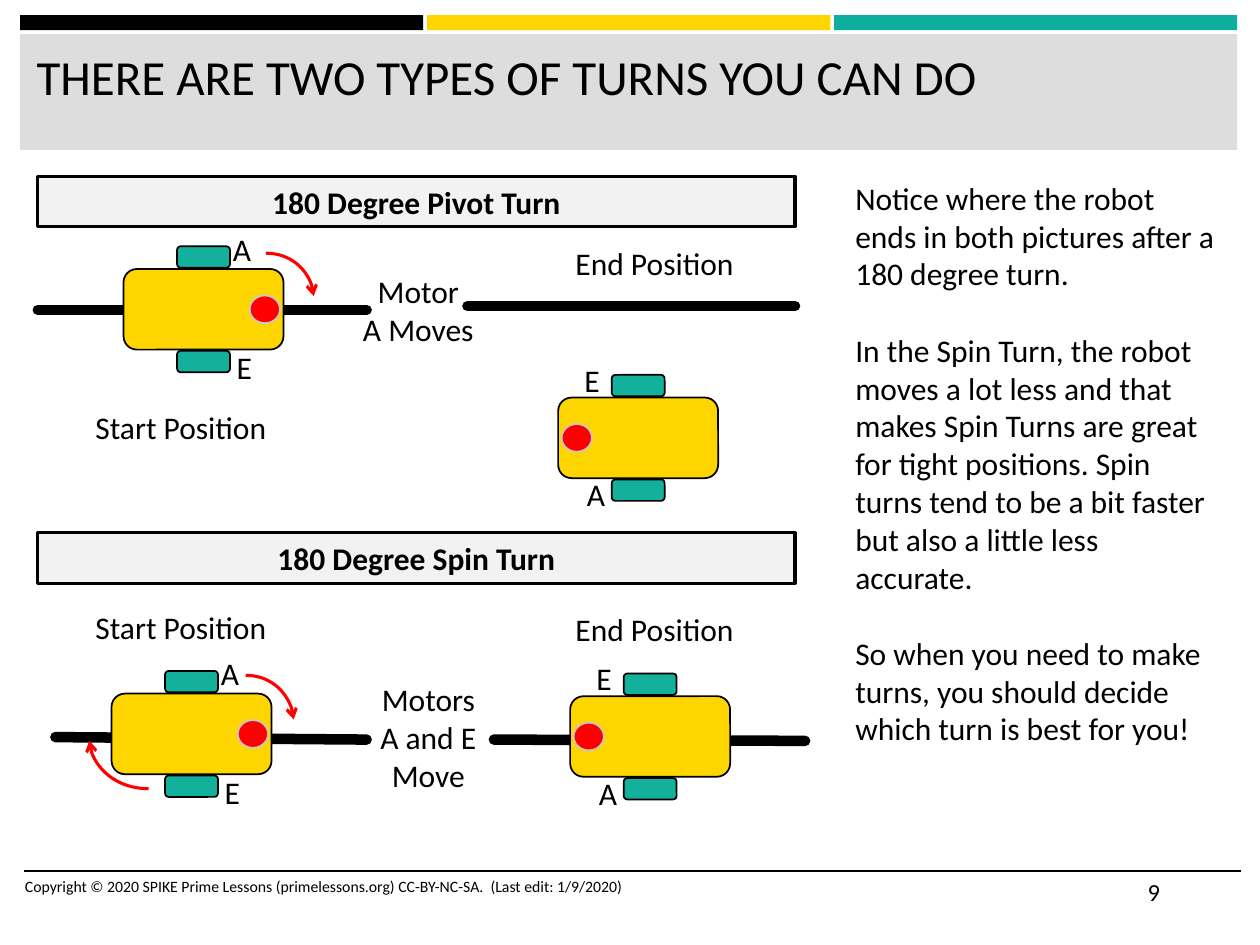
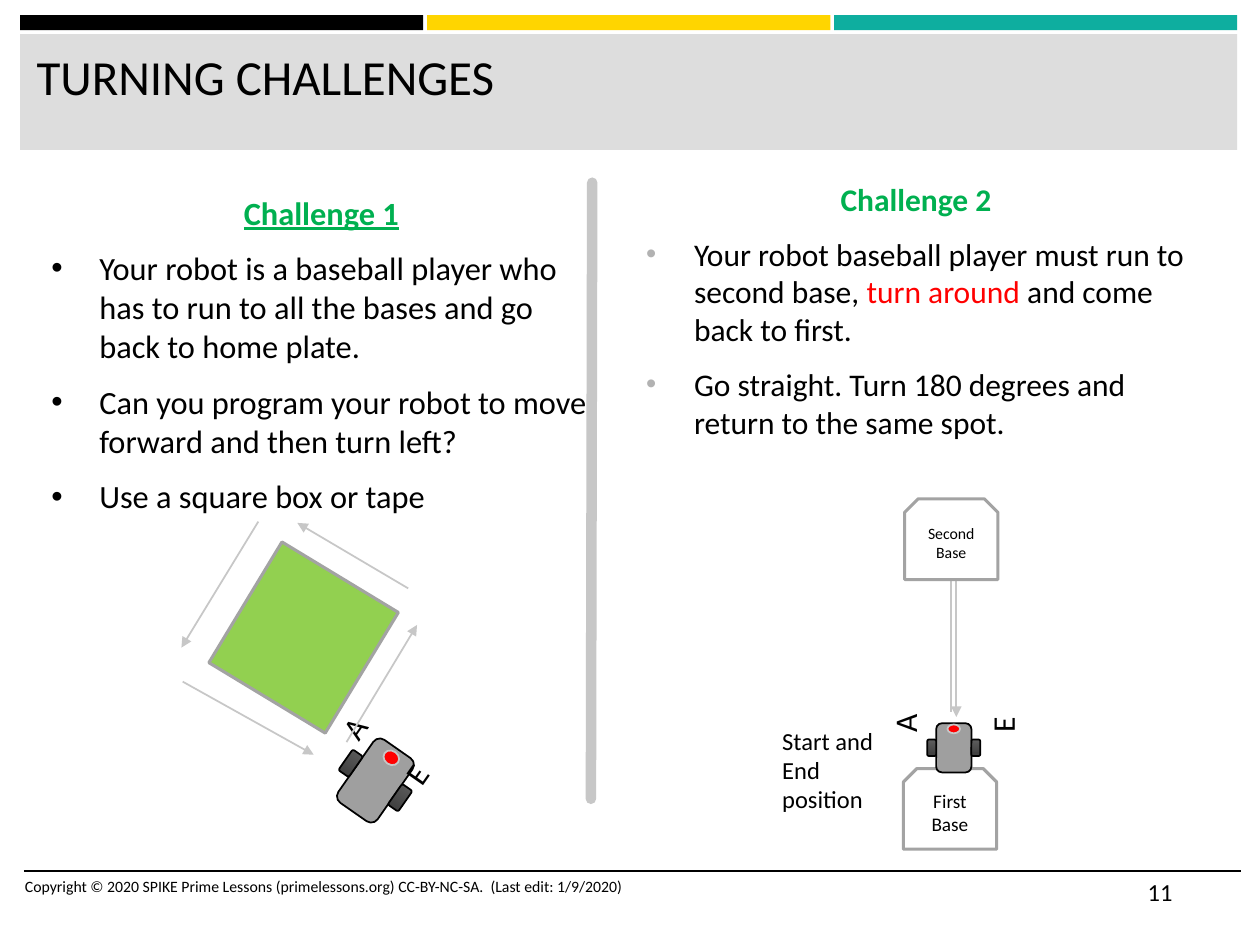
"""Builds two robot lesson slides: the types of turns and the turning challenges."""
from dataclasses import dataclass, field
from math import cos, radians, sin
from typing import Any, NamedTuple, Optional

from pptx import Presentation
from pptx.dml.color import RGBColor
from pptx.enum.shapes import MSO_CONNECTOR as Route, MSO_SHAPE as Preset
from pptx.enum.text import MSO_ANCHOR as Anchor, PP_ALIGN as Align
from pptx.oxml.ns import qn
from pptx.oxml.xmlchemy import OxmlElement
from pptx.util import Emu, Inches, Pt

BLACK = RGBColor(0x00, 0x00, 0x00)
WHITE = RGBColor(0xFF, 0xFF, 0xFF)
YELLOW = RGBColor(0xFF, 0xD5, 0x00)
TEAL = RGBColor(0x0E, 0xAE, 0x9F)
WHEEL_TEAL = RGBColor(0x13, 0xB0, 0x9B)
RED = RGBColor(0xFF, 0x00, 0x00)
GREEN = RGBColor(0x00, 0xB0, 0x50)
FIELD_GREEN = RGBColor(0x92, 0xD0, 0x50)
TITLE_GREY = RGBColor(0xDD, 0xDD, 0xDD)
PALE_GREY = RGBColor(0xF2, 0xF2, 0xF2)
LINE_GREY = RGBColor(0xC7, 0xC7, 0xC7)
BULLET_GREY = RGBColor(0xB2, 0xB2, 0xB2)
EDGE_GREY = RGBColor(0xA3, 0xA3, 0xA3)
BODY_GREY = RGBColor(0x9F, 0x9F, 0x9F)
TYRE_GREY = RGBColor(0x5F, 0x5F, 0x5F)
TYRE_DARK = RGBColor(0x41, 0x41, 0x41)

FONT = "Calibri"
WIDTH, HEIGHT = Inches(10), Inches(7.5)
COLUMNS, ROWS = 100, 75
COPYRIGHT = ("Copyright © 2020 SPIKE Prime Lessons (primelessons.org) "
             "CC-BY-NC-SA.  (Last edit: 1/9/2020)")


class Point(NamedTuple):
    """A place on the grid, in columns and rows."""
    column: float
    row: float


class Box(NamedTuple):
    """A rectangle on the grid, in columns and rows."""
    left: float
    top: float
    width: float
    height: float


class Size(NamedTuple):
    """A width and height on the grid."""
    width: float
    height: float

    def around(self, centre: Point) -> Box:
        """Return the box of this size with the given centre."""
        return Box(centre.column - self.width / 2, centre.row - self.height / 2, *self)


@dataclass(frozen=True)
class Run:
    """Text with one format."""
    text: str
    color: RGBColor = BLACK
    formats: dict[str, Any] = field(default_factory=dict)


@dataclass(frozen=True)
class Para:
    """A paragraph with its layout and optional bullet."""
    runs: tuple[Run, ...]
    formats: dict[str, Any] = field(default_factory=dict)
    bullet: Optional[RGBColor] = None
    bullet_percent: int = 100


@dataclass(frozen=True)
class Build:
    """Part sizes and colours of a robot that faces up."""
    body: Size
    wheel: Size
    wheel_reach: float
    nose: Size
    nose_reach: float
    body_color: RGBColor
    wheel_colors: tuple[RGBColor, ...]
    label: Size


@dataclass(frozen=True)
class Pose:
    """Heading of a robot and where its motor labels sit around it."""
    heading: float
    motor_a: Point
    motor_e: Point
    label_turn: float = 0


LESSON = Build(Size(6.4, 12.7), Size(1.7, 4.2), 4.15, Size(2.2, 2.4), 4.87,
               YELLOW, (WHEEL_TEAL,), Size(5.1, 4))
RUNNER = Build(Size(3.8, 6.1), Size(1, 2), 2.39, Size(1.3, 1.1), 2.2,
               BODY_GREY, (TYRE_GREY, TYRE_DARK), Size(3.5, 4))
SMALL_RUNNER = Build(Size(2.8, 3.9), Size(0.7, 1.3), 1.75, Size(1, 0.7), 1.5,
                     BODY_GREY, (TYRE_GREY, TYRE_DARK), Size(3.5, 4))
FACING_RIGHT = Pose(90, Point(3.9, -4.8), Point(4.2, 4.6))
FACING_LEFT = Pose(270, Point(-2.5, 4.45), Point(-2.7, -4.6))
FACING_DIAMOND = Pose(34.9, Point(-1.7, -4.25), Point(3.3, -0.65), 304.9)
FACING_UP = Pose(0, Point(-3.9, -1.95), Point(3.85, -1.95), 270)


def across(columns: float) -> Emu:
    """Turn columns into a length."""
    return Emu(round(columns * WIDTH / COLUMNS))


def down(rows: float) -> Emu:
    """Turn rows into a length."""
    return Emu(round(rows * HEIGHT / ROWS))


def place(box: Box) -> tuple[Emu, Emu, Emu, Emu]:
    """Turn a grid box into lengths."""
    return across(box.left), down(box.top), across(box.width), down(box.height)


def apply(target: Any, formats: dict[str, Any]) -> None:
    """Set each format value on the target."""
    for name, value in formats.items():
        setattr(target, name, value)


def plain(text: str, **formats: Any) -> Para:
    """Return a paragraph of one black run."""
    return Para((Run(text),), formats)


def add_bullet(paragraph: Any, color: RGBColor, percent: int) -> None:
    """Give the paragraph a hanging round bullet."""
    props = paragraph._p.get_or_add_pPr()
    props.set("marL", str(Inches(0.38)))
    props.set("indent", str(-Inches(0.38)))
    tint = OxmlElement("a:buClr")
    value = OxmlElement("a:srgbClr")
    value.set("val", str(color))
    tint.append(value)
    props.append(tint)
    for tag, key, setting in (("a:buSzPct", "val", str(percent * 1000)),
                              ("a:buFont", "typeface", "Arial"),
                              ("a:buChar", "char", "•")):
        part = OxmlElement(tag)
        part.set(key, setting)
        props.append(part)


def write(frame: Any, paras: list[Para], size: float, anchor: Any = Anchor.TOP) -> None:
    """Fill a text frame with paragraphs."""
    apply(frame, {"word_wrap": True, "vertical_anchor": anchor})
    for index, para in enumerate(paras):
        paragraph = frame.add_paragraph() if index else frame.paragraphs[0]
        apply(paragraph, {"alignment": Align.LEFT, **para.formats})
        if index and para.bullet is not None:
            paragraph.space_before = Pt(3.6)
        if para.bullet is not None:
            add_bullet(paragraph, para.bullet, para.bullet_percent)
        for piece in para.runs:
            run = paragraph.add_run()
            run.text = piece.text
            apply(run.font, {"name": FONT, "size": Pt(size), **piece.formats})
            run.font.color.rgb = piece.color


def add_text(slide: Any, box: Box, paras: list[Para], size: float = 18,
             turn: float = 0) -> None:
    """Add a text box."""
    text = slide.shapes.add_textbox(*place(box))
    text.rotation = turn
    write(text.text_frame, paras, size)


def add_block(slide: Any, preset: Any, box: Box, fills: tuple[RGBColor, ...],
              edge: Optional[RGBColor] = None, weight: float = 1, turn: float = 0) -> Any:
    """Add a preset shape with a solid fill, or a downward gradient of two colours."""
    block = slide.shapes.add_shape(preset, *place(box))
    block.shadow.inherit = False
    block.rotation = turn
    if len(fills) == 1:
        block.fill.solid()
        block.fill.fore_color.rgb = fills[0]
    else:
        block.fill.gradient()
        block.fill.gradient_angle = 270
        for stop, color, position in zip(block.fill.gradient_stops, fills, (0, 0.84)):
            stop.color.rgb = color
            stop.position = position
    if edge is None:
        block.line.fill.background()
    else:
        block.line.color.rgb = edge
        block.line.width = Pt(weight)
    return block


def add_line(slide: Any, start: Point, end: Point, color: RGBColor, weight: float = 1,
             head: str = "", curved: bool = False) -> None:
    """Add a straight line or quarter curve, with an arrowhead at its end if named."""
    line = slide.shapes.add_connector(
        Route.CURVE if curved else Route.STRAIGHT, across(start.column), down(start.row),
        across(end.column), down(end.row))
    line.line.color.rgb = color
    line.line.width = Pt(weight)
    props = line._element.spPr
    stroke = props.find(qn("a:ln"))
    if weight > 5:
        stroke.set("cap", "rnd")
    if head:
        tip = OxmlElement("a:tailEnd")
        tip.set("type", head)
        stroke.append(tip)
    if curved:
        props.find(qn("a:prstGeom")).set("prst", "curvedConnector2")
    props.append(OxmlElement("a:effectLst"))


def add_robot(slide: Any, centre: Point, build: Build, pose: Pose) -> None:
    """Add a robot with two wheels, a red nose and motor labels."""
    angle = radians(pose.heading)

    def turned(right: float, ahead: float) -> Point:
        return Point(centre.column + right * cos(angle) + ahead * sin(angle),
                     centre.row + right * sin(angle) - ahead * cos(angle))

    rounded = Preset.ROUNDED_RECTANGLE
    add_block(slide, rounded, build.body.around(centre), (build.body_color,), BLACK,
              turn=pose.heading)
    for side in (-1, 1):
        add_block(slide, rounded, build.wheel.around(turned(side * build.wheel_reach, 0)),
                  build.wheel_colors, BLACK, turn=pose.heading)
    add_block(slide, Preset.OVAL, build.nose.around(turned(0, build.nose_reach)), (RED,),
              LINE_GREY, turn=pose.heading)
    for motor, shift in (("A", pose.motor_a), ("E", pose.motor_e)):
        spot = Point(centre.column + shift.column, centre.row + shift.row)
        add_text(slide, build.label.around(spot), [plain(motor)], turn=pose.label_turn)


def start_slide(deck: Any, heading: str, number: int) -> Any:
    """Add a slide with the shared bands, title and footer."""
    slide = deck.slides.add_slide(deck.slide_layouts[5])
    for index, color in enumerate((BLACK, YELLOW, TEAL)):
        add_block(slide, Preset.RECTANGLE, Box(1.6 + 32.3 * index, 1.2, 32, 1.2), (color,))
    add_block(slide, Preset.RECTANGLE, Box(1.6, 2.7, 96.6, 9.2), (TITLE_GREY,))
    add_line(slide, Point(1.9, 69.1), Point(98.5, 69.1), BLACK)
    title = slide.shapes.title
    slide.shapes._spTree.append(title._element)
    apply(title, dict(zip(("left", "top", "width", "height"),
                          place(Box(1.9, 3.2, 95.7, 8.2)))))
    write(title.text_frame, [plain(heading)], 28)
    add_text(slide, Box(1, 69.1, 53.3, 4), [plain(COPYRIGHT)], 9)
    add_text(slide, Box(90.1, 69.1, 8.4, 4), [plain(str(number))], 14)
    return slide


def add_turns(deck: Any) -> None:
    """Add the slide that compares pivot and spin turns."""
    slide = start_slide(deck, "THERE ARE TWO TYPES OF TURNS YOU CAN DO", 9)
    for start, end in ((Point(39.2, 58.7), Point(63.9, 58.8)),
                       (Point(4.4, 58.5), Point(29.1, 58.7)),
                       (Point(3, 24.6), Point(29.1, 24.6)),
                       (Point(37.1, 24.3), Point(63.1, 24.3))):
        add_line(slide, start, end, BLACK, 6)
    for top, turn_name in ((14, "180 Degree Pivot Turn"), (42.3, "180 Degree Spin Turn")):
        banner = add_block(slide, Preset.RECTANGLE, Box(3, top, 60.1, 4), (PALE_GREY,),
                           BLACK, 1.75)
        name = Run(turn_name, formats={"bold": True})
        write(banner.text_frame, [Para((name,), {"alignment": Align.CENTER})], 18,
              Anchor.MIDDLE)
    add_text(slide, Box(66.9, 13.7, 30.7, 49.5), [
        plain("Notice where the robot ends in both pictures after a 180 degree turn.",
              space_after=Pt(22)),
        plain("In the Spin Turn, the robot moves a lot less and that makes Spin Turns are "
              "great for tight positions. Spin turns tend to be a bit faster but also a "
              "little less accurate.", space_after=Pt(22)),
        plain("So when you need to make turns, you should decide which turn is best for you!")])
    for box, lines in ((Box(5, 31.9, 18.7, 4), ("Start Position",)),
                       (Box(42.6, 18.9, 18.7, 4), ("End Position",)),
                       (Box(5, 47.8, 18.7, 4), ("Start Position",)),
                       (Box(42.6, 47.9, 18.7, 4), ("End Position",)),
                       (Box(25.9, 21.1, 14.6, 7.1), ("Motor", "A Moves")),
                       (Box(26.7, 53.5, 14.6, 10.1), ("Motors", "A and E Move"))):
        add_text(slide, box, [plain(line, alignment=Align.CENTER) for line in lines])
    for centre, pose in ((Point(16.15, 24.55), FACING_RIGHT), (Point(50.65, 34.75), FACING_LEFT),
                         (Point(15.2, 58.25), FACING_RIGHT), (Point(51.6, 58.45), FACING_LEFT)):
        add_robot(slide, centre, LESSON, pose)
    for start, end in ((Point(21.1, 20.1), Point(24.9, 23.5)),
                       (Point(19.5, 53.6), Point(23.3, 57.1)),
                       (Point(11.8, 62.6), Point(7.1, 58.8))):
        add_line(slide, start, end, RED, 1.75, "arrow", curved=True)


def add_challenge(slide: Any, box: Box, heading: Run, tasks: list[tuple[Run, ...]],
                  size: float, bullet: RGBColor, percent: int) -> None:
    """Add a centred challenge heading over its bulleted tasks."""
    gap = {"space_after": Pt(6)}
    add_text(slide, box, [Para((heading,), {"alignment": Align.CENTER, **gap})]
             + [Para(task, gap, bullet, percent) for task in tasks], size)


def add_challenges(deck: Any) -> None:
    """Add the slide with the two baseball challenges."""
    slide = start_slide(deck, "TURNING CHALLENGES", 11)
    add_challenge(slide, Box(50.3, 13.8, 44.8, 47.8),
                  Run("Challenge 2", GREEN, {"bold": True}),
                  [(Run("Your robot baseball player must run to second base, "),
                    Run("turn around", RED), Run(" and come back to first.")),
                   (Run("Go straight. Turn 180 degrees and return to the same spot."),)],
                  18, BULLET_GREY, 92)
    add_challenge(slide, Box(3.1, 14.8, 44.8, 23.8),
                  Run("Challenge 1", GREEN, {"bold": True, "underline": True}),
                  [(Run("Your robot is a baseball player who has to run to all the bases "
                        "and go back to home plate."),),
                   (Run("Can you program your robot to move forward and then turn left?"),),
                   (Run("Use a square box or tape"),)], 18.5, BLACK, 100)
    add_line(slide, Point(46.9, 63.4), Point(47, 14.5), LINE_GREY, 6)
    add_block(slide, Preset.RECTANGLE, Box(18.5, 45.2, 11.2, 10.8), (FIELD_GREEN,),
              EDGE_GREY, 1.75, 301.2)
    add_robot(slide, Point(29.8, 61.95), RUNNER, FACING_DIAMOND)
    for start, end in ((Point(20.5, 41.4), Point(14.4, 51.4)),
                       (Point(32.4, 46.7), Point(23.6, 41.5)),
                       (Point(27.5, 58.9), Point(33.1, 49.6)),
                       (Point(14.5, 54.1), Point(24.9, 59.9)),
                       (Point(75.5, 56.5), Point(75.5, 44.9)),
                       (Point(75.9, 46), Point(75.9, 56.9))):
        add_line(slide, start, end, LINE_GREY, head="triangle")
    add_text(slide, Box(61.1, 57.1, 10.4, 8.1), [plain("Start and End position")], 14)
    for corner, base_name, size in ((Point(71.7, 61), "First Base", 11),
                                    (Point(71.8, 39.6), "Second Base", 9)):
        base = add_block(slide, Preset.SNIP_2_SAME_RECTANGLE, Box(*corner, 7.4, 6.4),
                         (WHITE,), EDGE_GREY, 1.75)
        write(base.text_frame, [plain(base_name, alignment=Align.CENTER)], size, Anchor.MIDDLE)
    add_robot(slide, Point(75.7, 59.35), SMALL_RUNNER, FACING_UP)


def main() -> None:
    """Build and save the deck."""
    deck = Presentation()
    apply(deck, {"slide_width": WIDTH, "slide_height": HEIGHT})
    add_turns(deck)
    add_challenges(deck)
    deck.save("out.pptx")


if __name__ == "__main__":
    main()
